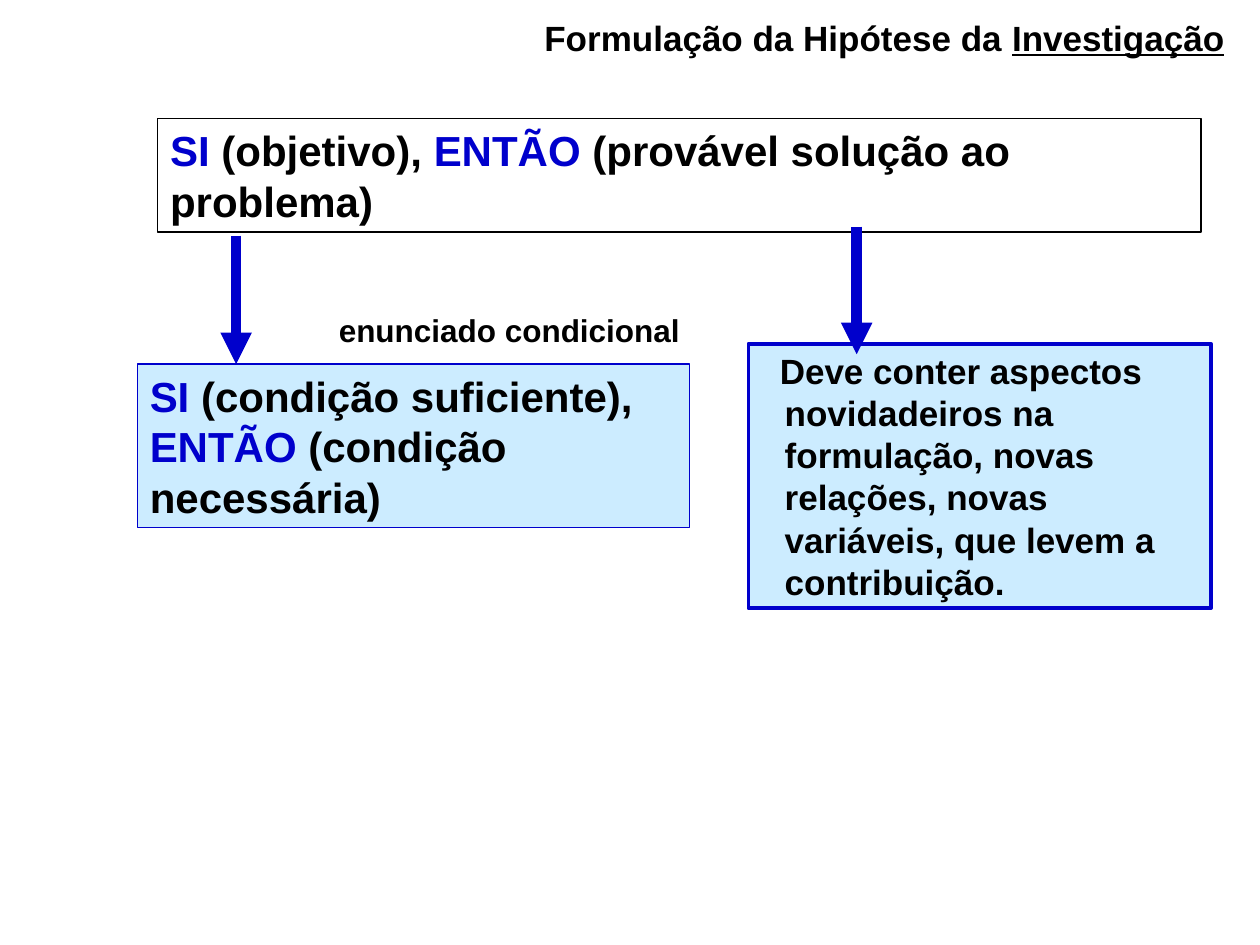
from lxml import etree
from pptx import Presentation
from pptx.dml.color import RGBColor
from pptx.enum.shapes import MSO_CONNECTOR, MSO_SHAPE
from pptx.enum.text import MSO_ANCHOR, MSO_AUTO_SIZE, PP_ALIGN
from pptx.oxml.ns import qn
from pptx.util import Cm, Pt

RECTANGLE = MSO_SHAPE.RECTANGLE
STRAIGHT = MSO_CONNECTOR.STRAIGHT
TOP = MSO_ANCHOR.TOP
NO_AUTOFIT = MSO_AUTO_SIZE.NONE
LEFT = PP_ALIGN.LEFT

BLACK = RGBColor(0x00, 0x00, 0x00)
BLUE = RGBColor(0x00, 0x00, 0xCC)
PALE_BLUE = RGBColor(0xCC, 0xEC, 0xFF)
FONT = "Arial"


def write_text(frame, *runs, size, wrap=True, indent=0, first_line=0):
    """Write bold runs, each a (text, colour, underlined) tuple."""
    frame.word_wrap = wrap
    frame.auto_size = NO_AUTOFIT
    frame.vertical_anchor = TOP
    paragraph = frame.paragraphs[0]
    paragraph.alignment = LEFT
    properties = paragraph._p.get_or_add_pPr()
    properties.set("marL", str(Cm(indent)))
    properties.set("indent", str(Cm(first_line)))
    for text, colour, underlined in runs:
        run = paragraph.add_run()
        run.text = text
        run.font.name = FONT
        run.font.size = Pt(size)
        run.font.bold = True
        run.font.underline = underlined
        run.font.color.rgb = colour


def place(part, left, top, width, height):
    part.left, part.top = Cm(left), Cm(top)
    part.width, part.height = Cm(width), Cm(height)


def add_heading(slide, *box):
    title = slide.shapes.title
    place(title, *box)
    write_text(title.text_frame,
               ("Formulação da Hipótese da ", BLACK, False),
               ("Investigação", BLACK, True), size=20)


def add_panel(slide, box, *runs, fill=None, line=BLUE, weight=0.75, **text_format):
    panel = slide.shapes.add_shape(RECTANGLE, *map(Cm, box))
    panel.shadow.inherit = False
    if fill is None:
        panel.fill.background()
    else:
        panel.fill.solid()
        panel.fill.fore_color.rgb = fill
    panel.line.color.rgb = line
    panel.line.width = Pt(weight)
    write_text(panel.text_frame, *runs, **text_format)


def add_conditional(slide, box, condition, consequence, **panel_format):
    """A panel holding an SI ..., ENTÃO ... statement."""
    add_panel(slide, box,
              ("SI", BLUE, False), (f" ({condition}), ", BLACK, False),
              ("ENTÃO", BLUE, False), (f" ({consequence})", BLACK, False),
              size=24, **panel_format)


def add_label(slide, *box):
    label = slide.shapes.add_textbox(*map(Cm, box))
    write_text(label.text_frame, ("enunciado condicional", BLACK, False),
               size=18, wrap=False)


def add_down_arrow(slide, x, top, bottom):
    arrow = slide.shapes.add_connector(STRAIGHT, Cm(x), Cm(top), Cm(x), Cm(bottom))
    arrow.line.color.rgb = BLUE
    arrow.line.width = Pt(6)
    etree.SubElement(arrow.line._get_or_add_ln(), qn("a:tailEnd"), type="triangle")
    etree.SubElement(arrow._element.spPr, qn("a:effectLst"))


def main():
    deck = Presentation()
    deck.slide_width, deck.slide_height = Cm(25.4), Cm(19.05)
    slide = deck.slides.add_slide(deck.slide_layouts[5])

    add_heading(slide, 10.72, 0.2, 14.68, 1.12)

    # Requirement for the hypothesis
    add_panel(slide, (15.09, 6.93, 9.32, 5.33),
              ("Deve conter aspectos novidadeiros na formulação, novas relações, "
               "novas variáveis, que levem a contribuição.", BLACK, False),
              fill=PALE_BLUE, weight=2.25, size=20, indent=0.48, first_line=-0.1)

    # General statement and its conditional form
    add_conditional(slide, (3.18, 2.39, 21.03, 2.29),
                    "objetivo", "provável solução ao problema", line=BLACK)
    add_label(slide, 6.58, 6.15, 7.39, 1.02)
    add_conditional(slide, (2.77, 7.34, 11.13, 3.3),
                    "condição suficiente", "condição necessária", fill=PALE_BLUE)

    # Arrows from the general statement
    add_down_arrow(slide, 4.76, 4.75, 7.34)
    add_down_arrow(slide, 17.27, 4.57, 7.14)

    deck.save("out.pptx")


if __name__ == "__main__":
    main()
